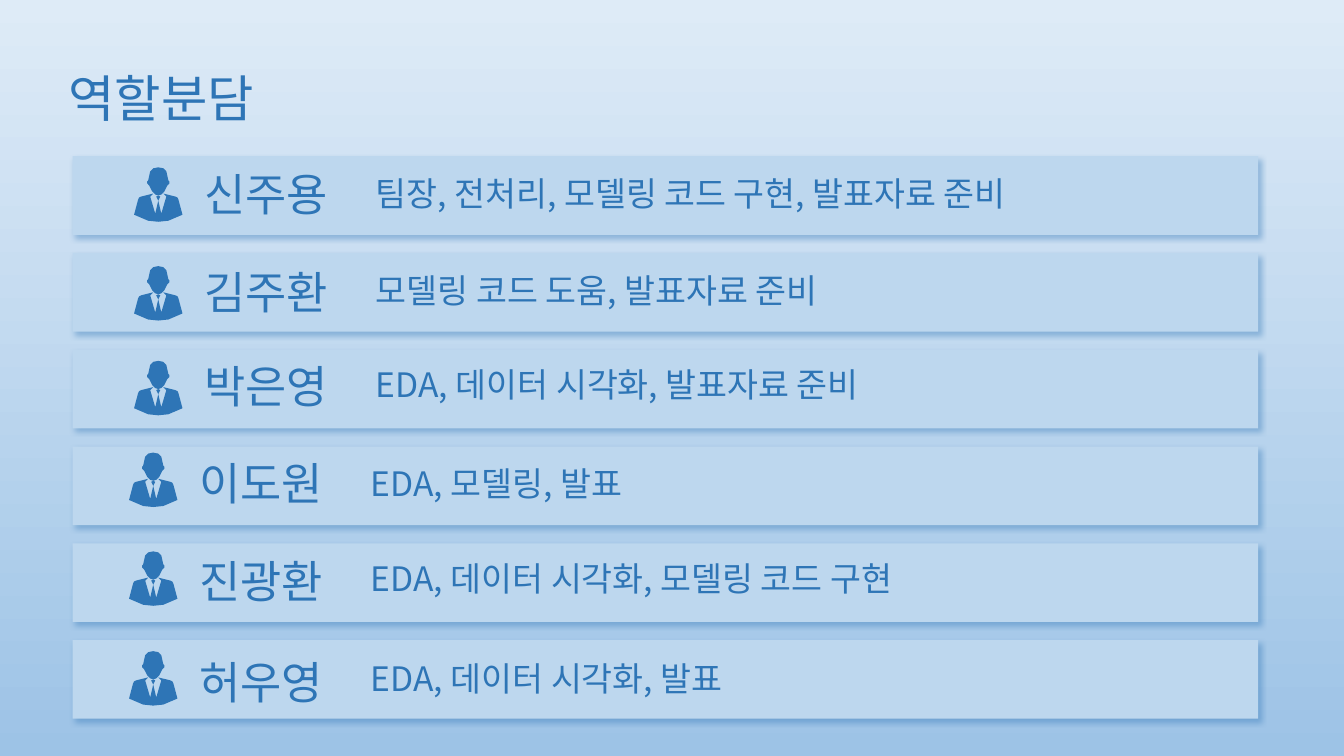
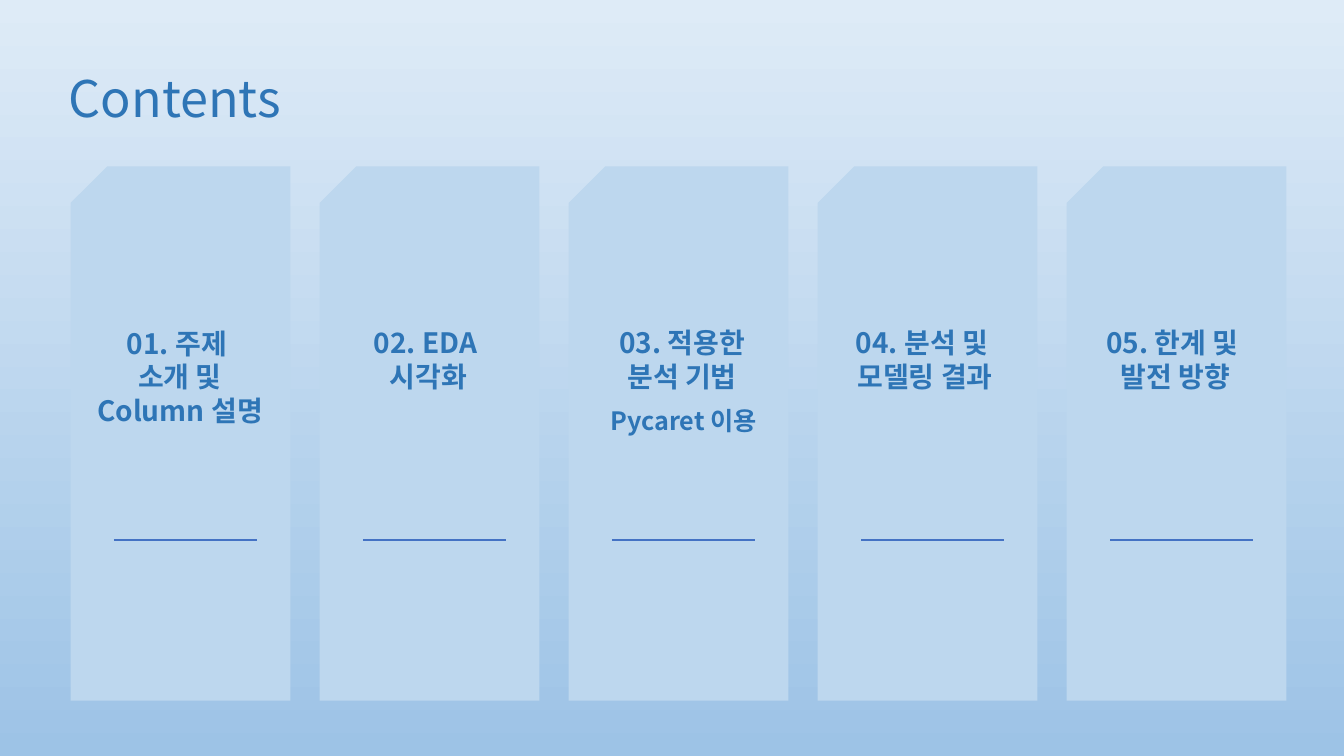
from dataclasses import dataclass

from lxml import etree
from pptx import Presentation
from pptx.dml.color import RGBColor
from pptx.enum.shapes import MSO_CONNECTOR, MSO_SHAPE
from pptx.enum.text import MSO_ANCHOR, MSO_AUTO_SIZE, PP_ALIGN
from pptx.oxml.ns import qn
from pptx.util import Inches, Pt

RECT = MSO_SHAPE.RECTANGLE
SNIP = MSO_SHAPE.SNIP_ROUND_RECTANGLE
STRAIGHT = MSO_CONNECTOR.STRAIGHT
MIDDLE, TOP = MSO_ANCHOR.MIDDLE, MSO_ANCHOR.TOP
LEFT, CENTER = PP_ALIGN.LEFT, PP_ALIGN.CENTER
GROW, FIXED = MSO_AUTO_SIZE.SHAPE_TO_FIT_TEXT, MSO_AUTO_SIZE.NONE


@dataclass(frozen=True)
class Theme:
    face: str = "Noto Sans CJK KR"
    ink: str = "2E75B6"
    panel: str = "BDD7EE"
    rule: str = "4472C4"
    sky: tuple = ("DEEBF7", "9DC3E6")
    title: int = 36
    name: int = 32
    duty: int = 24
    head: int = 20
    note: int = 18


THEME = Theme()

# Right half of each icon part: distance from the axis, then from the top
ICON = {
    "body": [(0, .33), (.03, .46), (.08, .29), (.05, .26), (.17, .29),
             (.19, .3), (.2, .32), (.24, .47), (.17, .5), (.1, .53), (0, .54)],
    "tie": [(0, .28), (.02, .29), (0, .33)],
    "head": [(0, 0), (.05, .01), (.08, .04), (.1, .13), (.11, .14),
             (.11, .16), (.09, .18), (.06, .24), (.03, .27), (0, .28)],
}

# Name, duty, left edge, then tops of icon, name and duty
TEAM = [
    ("신주용", "팀장, 전처리, 모델링 코드 구현, 발표자료 준비", 1.33, 1.66, 1.6, 1.67),
    ("김주환", "모델링 코드 도움, 발표자료 준비", 1.33, 2.64, 2.58, 2.63),
    ("박은영", "EDA, 데이터 시각화, 발표자료 준비", 1.33, 3.58, 3.51, 3.56),
    ("이도원", "EDA, 모델링, 발표", 1.28, 4.49, 4.47, 4.54),
    ("진광환", "EDA, 데이터 시각화, 모델링 코드 구현", 1.28, 5.47, 5.44, 5.49),
    ("허우영", "EDA, 데이터 시각화, 발표", 1.28, 6.46, 6.45, 6.48),
]

# Lines, then left, width and height of each heading
PARTS = [
    (["01. 주제 ", "소개 및", "Column 설명"], .78, 2.01, 1.11),
    (["02. EDA ", "시각화"], 3.16, 2.18, .77),
    (["03. 적용한 분석 기법"], 5.98, 1.57, .77),
    (["04. 분석 및 ", "모델링 결과"], 8.17, 2.01, .77),
    (["05. 한계 및 ", "발전 방향"], 10.51, 2.3, .77),
]


def apply(target, values):
    for key, value in values.items():
        setattr(target, key, value)


def box(*lengths):
    return [Inches(n) for n in lengths]


class Deck:
    def __init__(self, theme):
        self.theme = theme
        self.prs = Presentation()
        apply(self.prs, {"slide_width": Inches(13.33), "slide_height": Inches(7.5)})
        self.slide = None
        # Shared background
        fill = self.prs.slide_master.background.fill
        fill.gradient()
        fill.gradient_angle = 270
        for stop, tone, place in zip(fill.gradient_stops, theme.sky, (0, 1)):
            stop.color.rgb = RGBColor.from_string(tone)
            stop.position = place

    def page(self, title):
        self.slide = self.prs.slides.add_slide(self.prs.slide_layouts[5])
        head = self.slide.shapes.title
        spots = ("left", "top", "width", "height")
        apply(head, dict(zip(spots, box(.58, .53, 12.18, .94))))
        self.label(head, [title], self.theme.title, mid=True, fit=FIXED, lead=.9)

    def label(self, shape, lines, size, bold=False, align=LEFT, mid=False,
              fit=GROW, lead=None):
        frame = shape.text_frame
        apply(frame, {"word_wrap": True, "auto_size": fit,
                      "vertical_anchor": MIDDLE if mid else TOP})
        for i, line in enumerate(lines):
            para = frame.add_paragraph() if i else frame.paragraphs[0]
            apply(para, {"alignment": align, "line_spacing": lead})
            run = para.add_run()
            run.text = line
            apply(run.font, {"name": self.theme.face, "size": Pt(size), "bold": bold})
            run.font.color.rgb = RGBColor.from_string(self.theme.ink)
            east = etree.SubElement(run._r.get_or_add_rPr(), qn("a:ea"))
            east.set("typeface", self.theme.face)

    def text(self, spot, lines, size, **style):
        self.label(self.slide.shapes.add_textbox(*box(*spot)), lines, size, **style)

    def paint(self, shape, tone):
        shape.shadow.inherit = False
        shape.fill.solid()
        shape.fill.fore_color.rgb = RGBColor.from_string(tone)
        shape.line.fill.background()

    def panel(self, kind, spot):
        shape = self.slide.shapes.add_shape(kind, *box(*spot))
        self.paint(shape, self.theme.panel)
        return shape

    def bar(self, spot):
        shape = self.panel(RECT, spot)
        glow = shape._element.spPr.find(qn("a:effectLst"))
        cast = etree.SubElement(glow, qn("a:outerShdw"), {
            "blurRad": str(Pt(4)), "dist": str(Pt(3)), "dir": "2700000",
            "algn": "tl", "rotWithShape": "0"})
        tone = etree.SubElement(cast, qn("a:srgbClr"), val=self.theme.ink)
        etree.SubElement(tone, qn("a:alpha"), val="40000")

    def card(self, spot):
        shape = self.panel(SNIP, spot)
        for i, value in enumerate((0, .167)):
            shape.adjustments[i] = value
        shape._element.spPr.find(qn("a:xfrm")).set("flipH", "1")

    def line(self, *ends):
        rule = self.slide.shapes.add_connector(STRAIGHT, *box(*ends))
        rule.line.width = Pt(1.5)
        rule.line.color.rgb = RGBColor.from_string(self.theme.rule)
        etree.SubElement(rule._element.spPr, qn("a:effectLst"))

    def icon(self, left, top):
        group = self.slide.shapes.add_group_shape()
        axis = left + .24
        for half in ICON.values():
            ring = half + [(-x, y) for x, y in reversed(half[1:-1])]
            dots = [box(axis + x, top + y) for x, y in ring]
            trace = group.shapes.build_freeform(*dots[0])
            trace.add_line_segments(dots[1:])
            self.paint(trace.convert_to_shape(), self.theme.ink)


def roles(deck):
    deck.page("역할분담")
    for i, (name, duty, left, icon, high, low) in enumerate(TEAM):
        deck.bar((.72, 1.55 + .96 * i, 11.76, .78))
        deck.icon(left, icon)
        deck.text((left + .6, high, 1.88, .64), [name], deck.theme.name)
        deck.text((left + 2.3, low, 8.35, .5), [duty], deck.theme.duty)


def contents(deck):
    deck.page("Contents")
    bold = {"bold": True, "align": CENTER, "mid": True}
    for i, (lines, left, width, height) in enumerate(PARTS):
        edge = .7 + 2.47 * i
        deck.card((edge, 1.65, 2.18, 5.3))
        deck.line(edge + .43, 5.36, edge + 1.85, 5.36)
        deck.text((left, 3.18, width, height), lines, deck.theme.head, **bold)
    deck.text((5.9, 3.97, 1.76, .4), ["Pycaret 이용"], deck.theme.note, **bold)


def main():
    deck = Deck(THEME)
    roles(deck)
    contents(deck)
    deck.prs.save("out.pptx")


if __name__ == "__main__":
    main()
